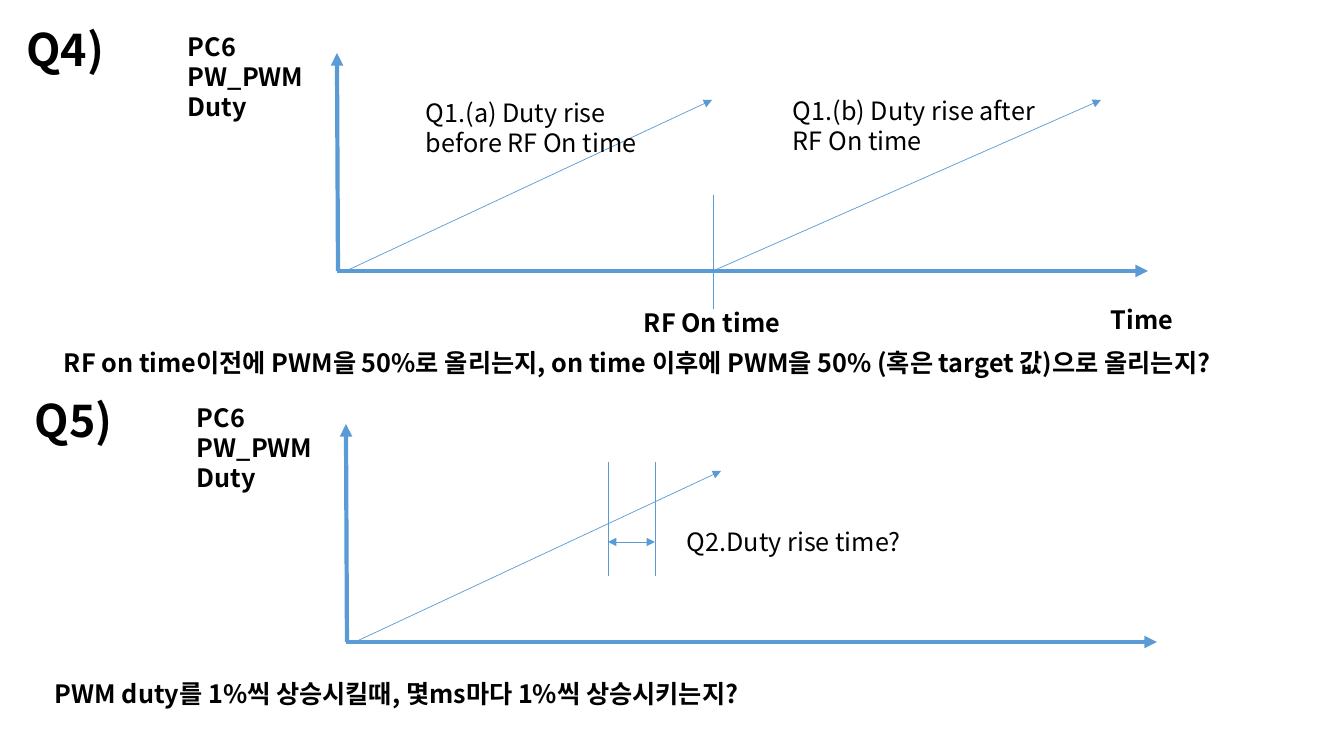
from pptx import Presentation
from pptx import util as u
from pptx.dml.color import RGBColor
from pptx.enum import shapes, text
from pptx.oxml.ns import qn
from lxml import etree

PX = 914400 / 100.8
BLUE = RGBColor(0x5B, 0x9B, 0xD5)
BLACK = RGBColor(0, 0, 0)
FONT = "Noto Sans CJK KR"


def px(length):
    return u.Emu(round(length * PX))


class TimingSlide:
    def __init__(self, deck):
        self.slide = deck.slides.add_slide(deck.slide_layouts[5])

    def fill_text(self, box, words, at, size, bold):
        for side, length in zip(("left", "top", "width", "height"), at):
            setattr(box, side, px(length))
        frame = box.text_frame
        frame.text = words
        frame_format = {
            "word_wrap": True,
            "auto_size": text.MSO_AUTO_SIZE.SHAPE_TO_FIT_TEXT,
            "vertical_anchor": text.MSO_ANCHOR.TOP,
        }
        for name, value in frame_format.items():
            setattr(frame, name, value)
        paragraph = frame.paragraphs[0]
        paragraph.alignment = text.PP_ALIGN.LEFT
        paragraph.line_spacing = 1.0
        for run in paragraph.runs:
            run_format = {"name": FONT, "size": u.Pt(size), "bold": bold}
            for name, value in run_format.items():
                setattr(run.font, name, value)
            run.font.color.rgb = BLACK
            # Korean letters take the East Asian typeface
            latin = run.font._element.find(qn("a:latin"))
            east_asian = etree.Element(qn("a:ea"), typeface=FONT)
            latin.addnext(east_asian)

    def title(self, words, at):
        self.fill_text(self.slide.shapes.title, words, at, 32, True)

    def label(self, words, at, size=18, bold=True):
        box = self.slide.shapes.add_textbox(0, 0, px(1), px(1))
        self.fill_text(box, words, at, size, bold)

    def line(self, start, end, width=0.5, arrows=()):
        line = self.slide.shapes.add_connector(
            shapes.MSO_CONNECTOR.STRAIGHT, *map(px, (*start, *end)))
        line.line.color.rgb = BLUE
        line.line.width = u.Pt(width)
        outline = line.line._get_or_add_ln()
        for arrow in arrows:
            etree.SubElement(outline, qn(f"a:{arrow}"), type="triangle")
        etree.SubElement(line._element.spPr, qn("a:effectLst"))

    def duty_graph(self, x, y):
        """Axes, axis label and first rising duty line from origin (x, y)."""
        self.line((x, y), (x + 811, y), 3, ["tailEnd"])
        self.line((x + 1, y), (x, y - 218), 3, ["tailEnd"])
        self.label("PC6 PW_PWM Duty", (x - 159, y - 245, 181, 102))
        self.line((x + 9, y), (x + 375, y - 171), arrows=["tailEnd"])


deck = Presentation()
deck.slide_width, deck.slide_height = px(1344), px(756)
page = TimingSlide(deck)

# Q4: duty rise before or after RF On time
page.title("Q4)", (16, 17, 181, 65))
page.duty_graph(337, 271)
rf_on = 713
page.line((rf_on, 195), (rf_on, 309))
page.line((rf_on, 271), (1101, 100), arrows=["tailEnd"])
page.label("RF On time", (634, 302, 433, 40))
page.label("Time", (1101, 299, 181, 40))
page.label("Q1.(a) Duty rise before RF On time", (416, 92, 249, 72), bold=False)
page.label("Q1.(b) Duty rise after\vRF On time", (783, 90, 275, 72), bold=False)
page.label("RF on time이전에 PWM을 50%로 올리는지, on time 이후에 PWM을 50% "
           "(혹은 target 값)으로 올리는지?", (54, 342, 1290, 40))

# Q5: time taken by each duty step
page.label("Q5)", (25, 388, 181, 65), size=32)
page.duty_graph(346, 642)
step_start, step_end = 608, 655
for edge in (step_start, step_end):
    page.line((edge, 462), (edge, 576))
page.line((step_start, 542), (step_end, 542), arrows=["headEnd", "tailEnd"])
page.label("Q2.Duty rise time?", (677, 521, 249, 40), bold=False)
page.label("PWM duty를 1%씩 상승시킬때, 몇ms마다 1%씩 상승시키는지?",
           (45, 673, 1290, 40))

deck.save("out.pptx")
